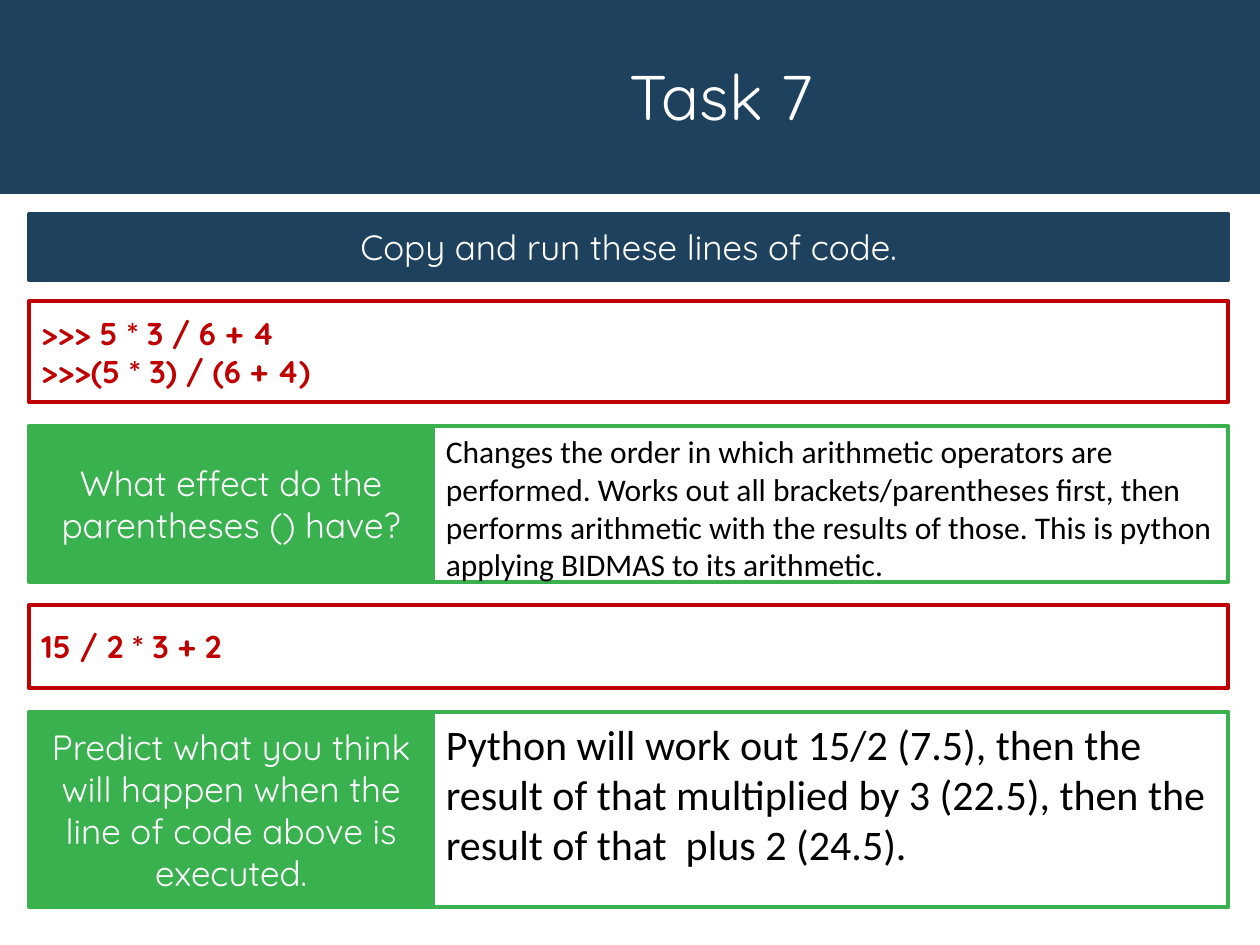
from pptx import Presentation
from pptx.dml.color import RGBColor
from pptx.enum.shapes import MSO_SHAPE
from pptx.enum.text import MSO_ANCHOR, MSO_AUTO_SIZE, PP_ALIGN
from pptx.util import Inches, Pt

COLORS = {
    "navy": "1E415E",
    "red": "C00000",
    "green": "39B14F",
    "white": "FFFFFF",
    "black": "000000",
}
LEFT, WIDTH = 0.23, 9.52
QUESTION_WIDTH = 3.21


def color(name):
    """Return the named colour of the palette."""
    return RGBColor.from_string(COLORS[name])


def write_text(frame, *lines, size=20, font="Quicksand", ink="white", bold=False,
               align=PP_ALIGN.CENTER, anchor=MSO_ANCHOR.MIDDLE, spacing=None):
    """Fill a text frame with one paragraph per line."""
    frame.word_wrap = True
    frame.vertical_anchor = anchor
    for index, line in enumerate(lines):
        para = frame.paragraphs[0] if index == 0 else frame.add_paragraph()
        para.alignment = align
        para.line_spacing = spacing
        span = para.add_run()
        span.text = line
        span.font.name = font
        span.font.size = Pt(size)
        span.font.bold = bold
        span.font.color.rgb = color(ink)


def add_panel(page, left, top, width, height, fill=None, line=None):
    """Add a plain rectangle with an optional fill and outline."""
    panel = page.shapes.add_shape(MSO_SHAPE.RECTANGLE, Inches(left), Inches(top),
                                  Inches(width), Inches(height))
    panel.shadow.inherit = False
    if fill:
        panel.fill.solid()
        panel.fill.fore_color.rgb = color(fill)
    else:
        panel.fill.background()
    if line:
        panel.line.color.rgb = color(line)
        panel.line.width = Pt(2.25)
    else:
        panel.line.fill.background()
    return panel


def add_header(page, text):
    """Place the title over a full-width band."""
    band = add_panel(page, 0, 0, 10, 1.54, fill="navy")
    title = page.shapes.title
    title._element.addprevious(band._element)
    title.left, title.top = Inches(1.45), Inches(0.24)
    title.width, title.height = Inches(8.55), Inches(1.11)
    write_text(title.text_frame, text, size=36, spacing=0.9)


def add_instruction(page, top, height, text):
    """Add a filled instruction bar."""
    bar = add_panel(page, LEFT, top, WIDTH, height, fill="navy", line="navy")
    write_text(bar.text_frame, text)


def add_code(page, top, height, *lines):
    """Add an outlined box of code lines."""
    box = add_panel(page, LEFT, top, WIDTH, height, line="red")
    write_text(box.text_frame, *lines, size=18, ink="red", bold=True,
               align=PP_ALIGN.LEFT)


def add_question(page, top, height, question, answer, answer_size):
    """Add a question panel with its answer in an outlined box beside it."""
    answer_left = LEFT + QUESTION_WIDTH
    answer_width = WIDTH - QUESTION_WIDTH
    add_panel(page, answer_left, top, answer_width, height, line="green")
    panel = add_panel(page, LEFT, top, QUESTION_WIDTH, height,
                      fill="green", line="green")
    write_text(panel.text_frame, question)
    box = page.shapes.add_textbox(Inches(answer_left), Inches(top),
                                  Inches(answer_width), Inches(1.31))
    write_text(box.text_frame, answer, size=answer_size, font="Calibri", ink="black",
               align=PP_ALIGN.LEFT, anchor=MSO_ANCHOR.TOP)
    box.text_frame.auto_size = MSO_AUTO_SIZE.SHAPE_TO_FIT_TEXT


def build_task_page(deck):
    """Build the task slide from top to bottom."""
    page = deck.slides.add_slide(deck.slide_layouts[5])
    add_header(page, "Task 7")
    add_instruction(page, 1.7, 0.52, "Copy and run these lines of code.")
    add_code(page, 2.39, 0.8, ">>> 5 * 3 / 6 + 4", ">>>(5 * 3) / (6 + 4)")
    add_question(
        page, 3.38, 1.24, "What effect do the parentheses () have?",
        "Changes the order in which arithmetic operators are performed. Works out "
        "all brackets/parentheses first, then performs arithmetic with the results "
        "of those. This is python applying BIDMAS to its arithmetic.", 18)
    add_code(page, 4.8, 0.66, "15 / 2 * 3 + 2")
    add_question(
        page, 5.65, 1.55,
        "Predict what you think will happen when the line of code above is executed.",
        "Python will work out 15/2 (7.5), then the result of that multiplied by 3 "
        "(22.5), then the result of that  plus 2 (24.5).", 24)


deck = Presentation()
deck.slide_width, deck.slide_height = Inches(10), Inches(7.5)
build_task_page(deck)
deck.save("out.pptx")
